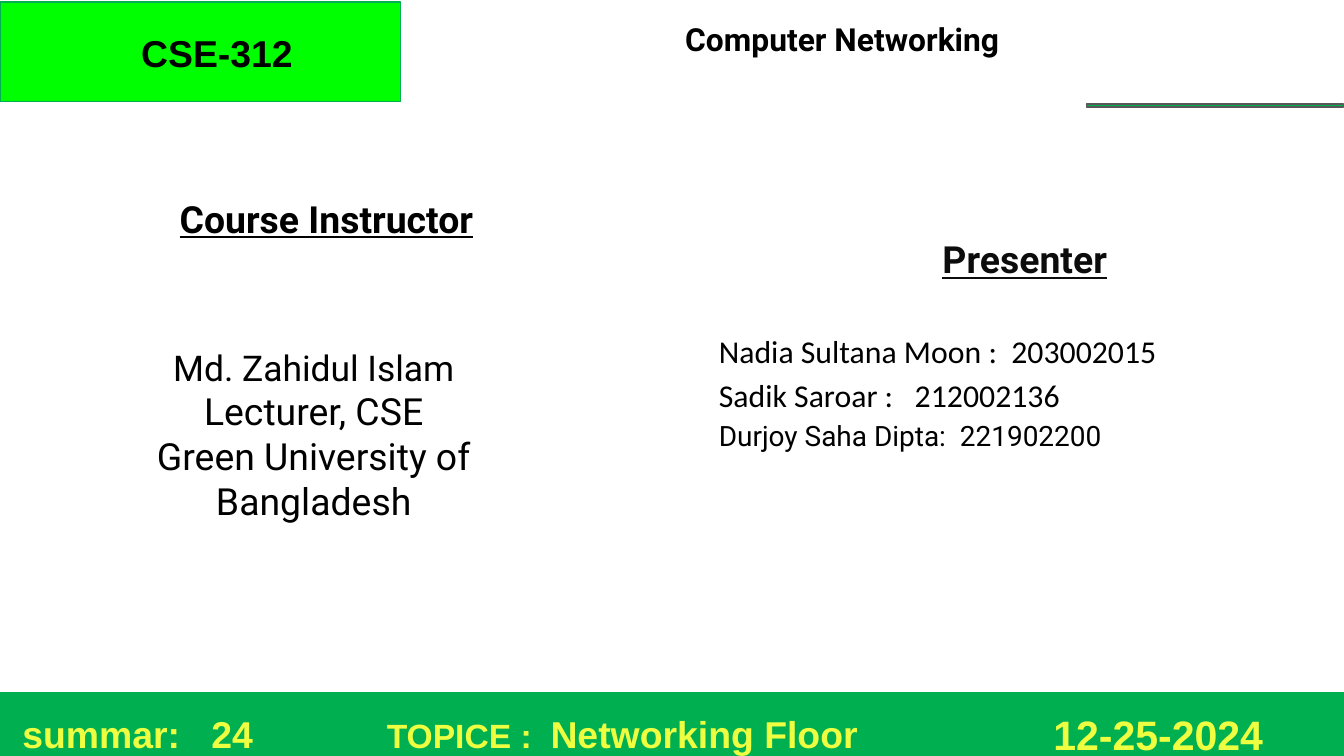
"""Build the opening slide of a computer networking course presentation."""
from dataclasses import dataclass

from pptx import Presentation
from pptx.dml.color import RGBColor
from pptx.enum.shapes import MSO_SHAPE
from pptx.enum.text import MSO_ANCHOR, PP_ALIGN
from pptx.util import Emu, Pt

RECTANGLE = MSO_SHAPE.RECTANGLE
MINUS = MSO_SHAPE.MATH_MINUS
TOP = MSO_ANCHOR.TOP
LEFT = PP_ALIGN.LEFT
CENTER = PP_ALIGN.CENTER

EMU_PER_PX = 4572
PAGE_SIZE = (2000, 1125)
INSET = 20
BLACK, INK = "000000", "0C0C0C"
GREEN, LIME, GREY, YELLOW = "00B050", "00FF00", "595959", "EEFF41"


@dataclass(frozen=True)
class Box:
    left: int
    top: int
    width: int
    height: int


@dataclass(frozen=True)
class Line:
    text: str
    size: int
    font: str = "Roboto"
    color: str = BLACK
    bold: bool = False
    underline: bool = False
    align: PP_ALIGN = LEFT
    spacing: float = 1.0
    before: int = 0
    tail: str = ""
    tail_size: int = 0


def px(length: int) -> Emu:
    return Emu(length * EMU_PER_PX)


def place(box: Box) -> tuple[Emu, Emu, Emu, Emu]:
    return px(box.left), px(box.top), px(box.width), px(box.height)


def rgb(color: str) -> RGBColor:
    return RGBColor.from_string(color)


def draw_shape(page, kind: MSO_SHAPE, box: Box, fill: str, outline: str = ""):
    shape = page.shapes.add_shape(kind, *place(box))
    shape.shadow.inherit = False
    shape.fill.solid()
    shape.fill.fore_color.rgb = rgb(fill)
    if outline:
        shape.line.color.rgb = rgb(outline)
        shape.line.width = Pt(0.75)
    else:
        shape.line.fill.background()
    return shape


def write_line(para, line: Line) -> None:
    para.alignment = line.align
    para.line_spacing = line.spacing
    para.space_before = Pt(line.before)
    font = para.font
    font.name = line.font
    font.size = Pt(line.size)
    font.bold = line.bold
    font.underline = line.underline
    font.color.rgb = rgb(line.color)
    para.add_run().text = line.text
    if line.tail:
        span = para.add_run()
        span.text = line.tail
        span.font.size = Pt(line.tail_size)


def draw_text(page, box: Box, *lines: Line) -> None:
    frame = page.shapes.add_textbox(*place(box)).text_frame
    frame.word_wrap = True
    frame.vertical_anchor = TOP
    frame.margin_left = frame.margin_right = px(INSET)
    frame.margin_top = frame.margin_bottom = px(INSET)
    for index, line in enumerate(lines):
        para = frame.add_paragraph() if index else frame.paragraphs[0]
        write_line(para, line)


def heading(text: str, color: str = BLACK) -> Line:
    return Line(text, 20, color=color, bold=True, underline=True, align=CENTER)


def label(text: str, size: int, color: str = YELLOW, align: PP_ALIGN = LEFT,
          tail: str = "", tail_size: int = 0) -> Line:
    return Line(text, size, "Arial", color, bold=True, align=align,
                tail=tail, tail_size=tail_size)


def draw_header(page) -> None:
    rule = draw_shape(page, MINUS, Box(1548, 121, 520, 72), GREEN, GREY)
    rule.adjustments[0] = 0.06
    draw_text(page, Box(1000, 10, 520, 158), Line("Computer Networking", 17, bold=True))
    draw_shape(page, RECTANGLE, Box(0, 3, 596, 148), LIME, GREEN)
    draw_text(page, Box(52, 25, 542, 96), label("CSE-312", 20, BLACK, CENTER))


def draw_people(page) -> None:
    draw_text(page, Box(126, 272, 720, 148), heading("Course Instructor"))
    draw_text(
        page, Box(72, 495, 790, 360),
        Line("Md. Zahidul Islam", 19, align=CENTER),
        Line("Lecturer, CSE", 20, align=CENTER),
        Line("Green University of Bangladesh", 20, align=CENTER),
    )
    draw_text(
        page, Box(1050, 332, 950, 706),
        heading("Presenter", INK),
        Line("Nadia Sultana Moon :  203002015", 17, "Calibri", spacing=1.15, before=24),
        Line("Sadik Saroar :   212002136", 17, "Calibri", spacing=1.15),
        Line("Durjoy Saha Dipta:  221902200", 15, spacing=1.15),
    )


def draw_footer(page) -> None:
    draw_shape(page, RECTANGLE, Box(0, 1030, 2000, 124), GREEN)
    draw_text(page, Box(556, 1038, 816, 116),
              label("TOPICE :  ", 18, tail="Networking Floor", tail_size=20))
    draw_text(page, Box(0, 1038, 410, 96), label("summar:   24", 20, align=CENTER))
    draw_text(page, Box(1548, 1036, 446, 116), label("12-25-2024", 22))


def main() -> None:
    deck = Presentation()
    deck.slide_width, deck.slide_height = map(px, PAGE_SIZE)
    page = deck.slides.add_slide(deck.slide_layouts[6])
    draw_footer(page)
    draw_people(page)
    draw_header(page)
    deck.save("out.pptx")


if __name__ == "__main__":
    main()
